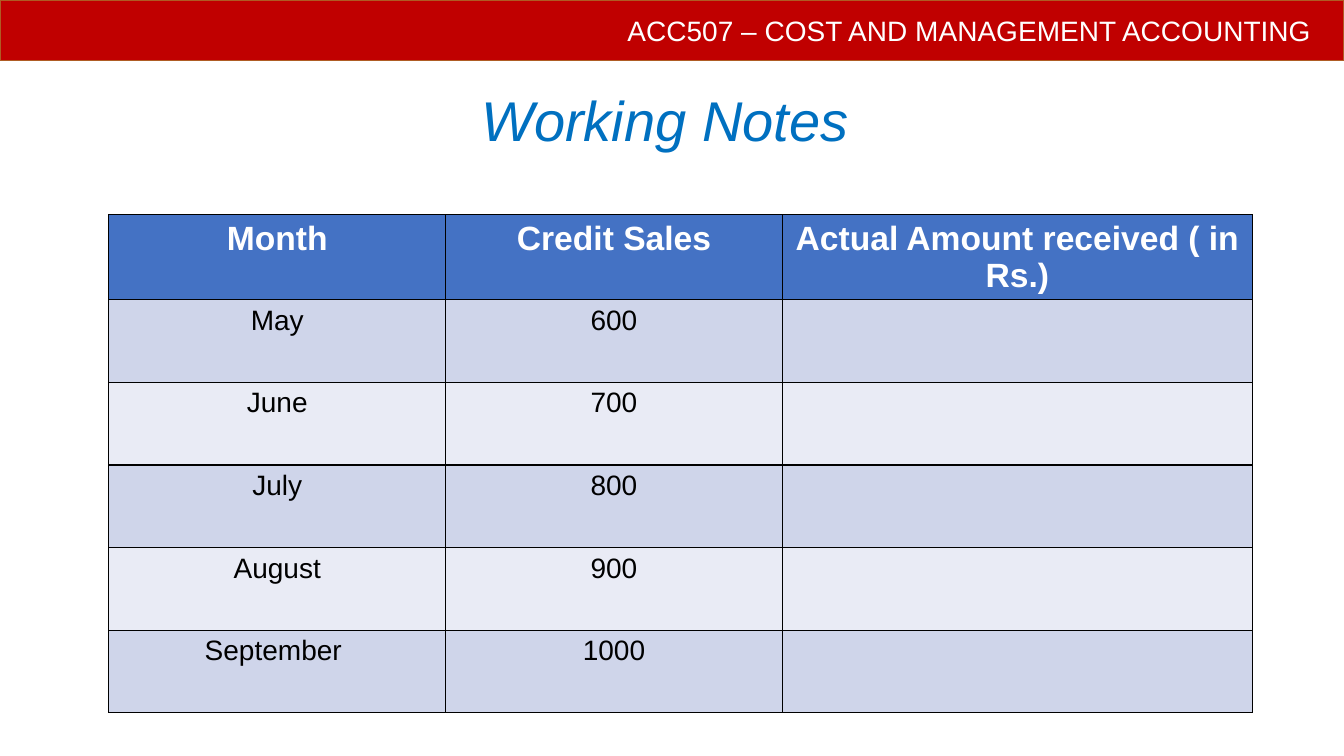
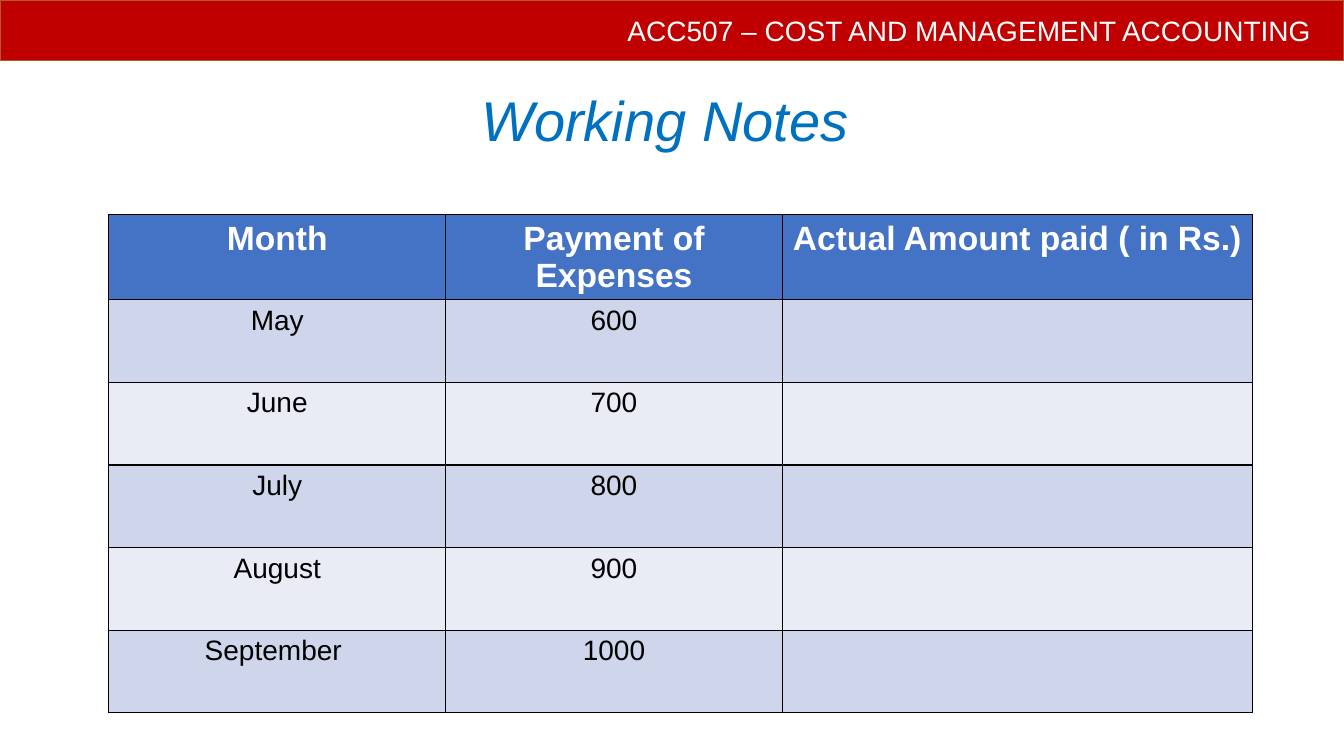
import pptx
import pptx.dml.color
import pptx.enum.shapes
import pptx.enum.text
import pptx.oxml
import pptx.oxml.ns
import pptx.util

Inches = pptx.util.Inches
Pt = pptx.util.Pt
ALIGN = pptx.enum.text.PP_ALIGN
MIDDLE = pptx.enum.text.MSO_ANCHOR.MIDDLE


def rgb(value):
    return pptx.dml.color.RGBColor.from_string(value)


class Deck:
    FONT = "Arial"
    WHITE, BLACK = "FFFFFF", "000000"
    BAND, BAND_LINE = "C00000", "AF5C24"
    TITLE, HEADER = "0070C0", "4472C4"
    STRIPES = ("E9EBF5", "CFD5EA")

    def __init__(self):
        self.prs = pptx.Presentation()
        self.prs.slide_width = Inches(13.33)
        self.prs.slide_height = Inches(7.5)
        self.s = None

    def add_slide(self, title):
        self.s = self.prs.slides.add_slide(self.prs.slide_layouts[5])
        self.add_band("ACC507 – COST AND MANAGEMENT ACCOUNTING ")
        self.add_title(title)

    def set_text(self, tf, text, size, color, align=ALIGN.CENTER, bold=False, italic=False):
        tf.text = text
        p = tf.paragraphs[0]
        p.alignment = align
        for r in p.runs:
            r.font.name = self.FONT
            r.font.size = Pt(size)
            r.font.bold = bold
            r.font.italic = italic
            r.font.color.rgb = rgb(color)
        return p

    def add_band(self, text):
        sp = self.s.shapes.add_shape(
            pptx.enum.shapes.MSO_SHAPE.RECTANGLE, 0, 0, self.prs.slide_width, Inches(0.6))
        sp.shadow.inherit = False
        sp.fill.solid()
        sp.fill.fore_color.rgb = rgb(self.BAND)
        sp.line.color.rgb = rgb(self.BAND_LINE)
        sp.line.width = Pt(1)
        tf = sp.text_frame
        tf.vertical_anchor = MIDDLE
        tf.margin_right = Inches(0.25)
        self.set_text(tf, text, 20, self.WHITE, ALIGN.RIGHT)

    def add_title(self, text):
        sp = self.s.shapes.title
        sp.left, sp.top = Inches(0.92), Inches(0.6)
        sp.width, sp.height = Inches(11.5), Inches(1.25)
        tf = sp.text_frame
        tf.auto_size = pptx.enum.text.MSO_AUTO_SIZE.NONE
        tf.vertical_anchor = MIDDLE
        p = self.set_text(tf, text, 40, self.TITLE, italic=True)
        p.line_spacing = 0.9

    def add_borders(self, cell):
        tcPr = cell._tc.get_or_add_tcPr()
        for side in ("lnL", "lnR", "lnT", "lnB"):
            tcPr.append(pptx.oxml.parse_xml(
                f'<a:{side} {pptx.oxml.ns.nsdecls("a")} w="{Pt(1)}"><a:solidFill>'
                f'<a:srgbClr val="{self.BLACK}"/></a:solidFill></a:{side}>'))

    def add_table(self, rows, widths, row_height):
        table = self.s.shapes.add_table(
            len(rows), len(widths), Inches(1.08), Inches(2.13),
            Inches(sum(widths)), Inches(row_height * len(rows))).table
        table.horz_banding = False
        for column, width in zip(table.columns, widths):
            column.width = Inches(width)
        for i, row in enumerate(rows):
            header = i == 0
            for j, text in enumerate(row):
                cell = table.cell(i, j)
                self.add_borders(cell)
                cell.fill.solid()
                cell.fill.fore_color.rgb = rgb(self.HEADER if header else self.STRIPES[i % 2])
                self.set_text(cell.text_frame, text, 24 if header else 20,
                              self.WHITE if header else self.BLACK, bold=header)


def main():
    months = [("May", "600", ""), ("June", "700", ""), ("July", "800", ""),
              ("August", "900", ""), ("September ", "1000", "")]
    headers = [("Month", "Credit Sales", "Actual Amount received ( in Rs.)"),
               ("Month", "Payment of Expenses", "Actual Amount paid ( in Rs.)")]
    deck = Deck()
    for header in headers:
        deck.add_slide("Working Notes ")
        deck.add_table([header] + months, (3.34, 3.34, 4.66), 0.82)
    deck.prs.save("out.pptx")


if __name__ == "__main__":
    main()
